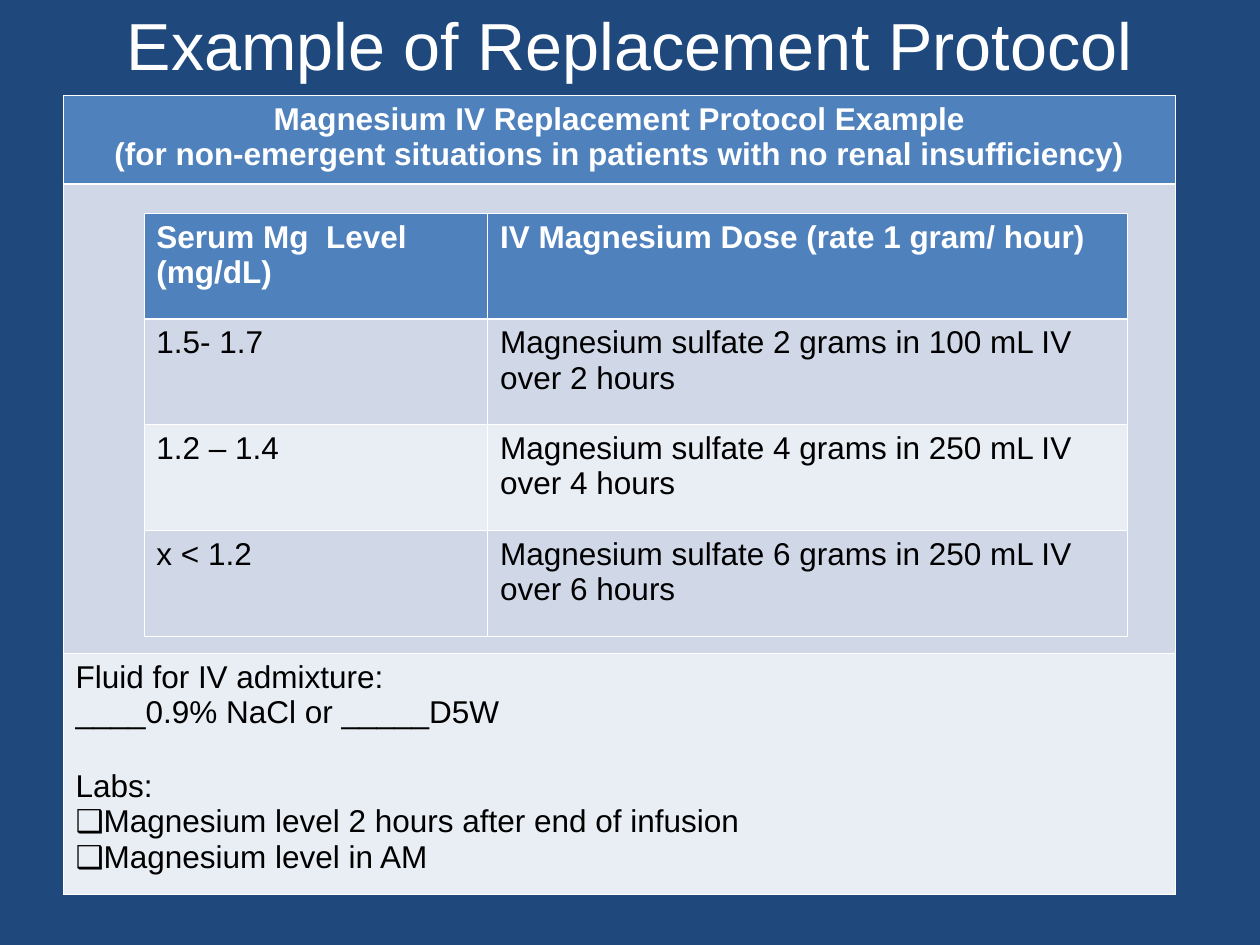
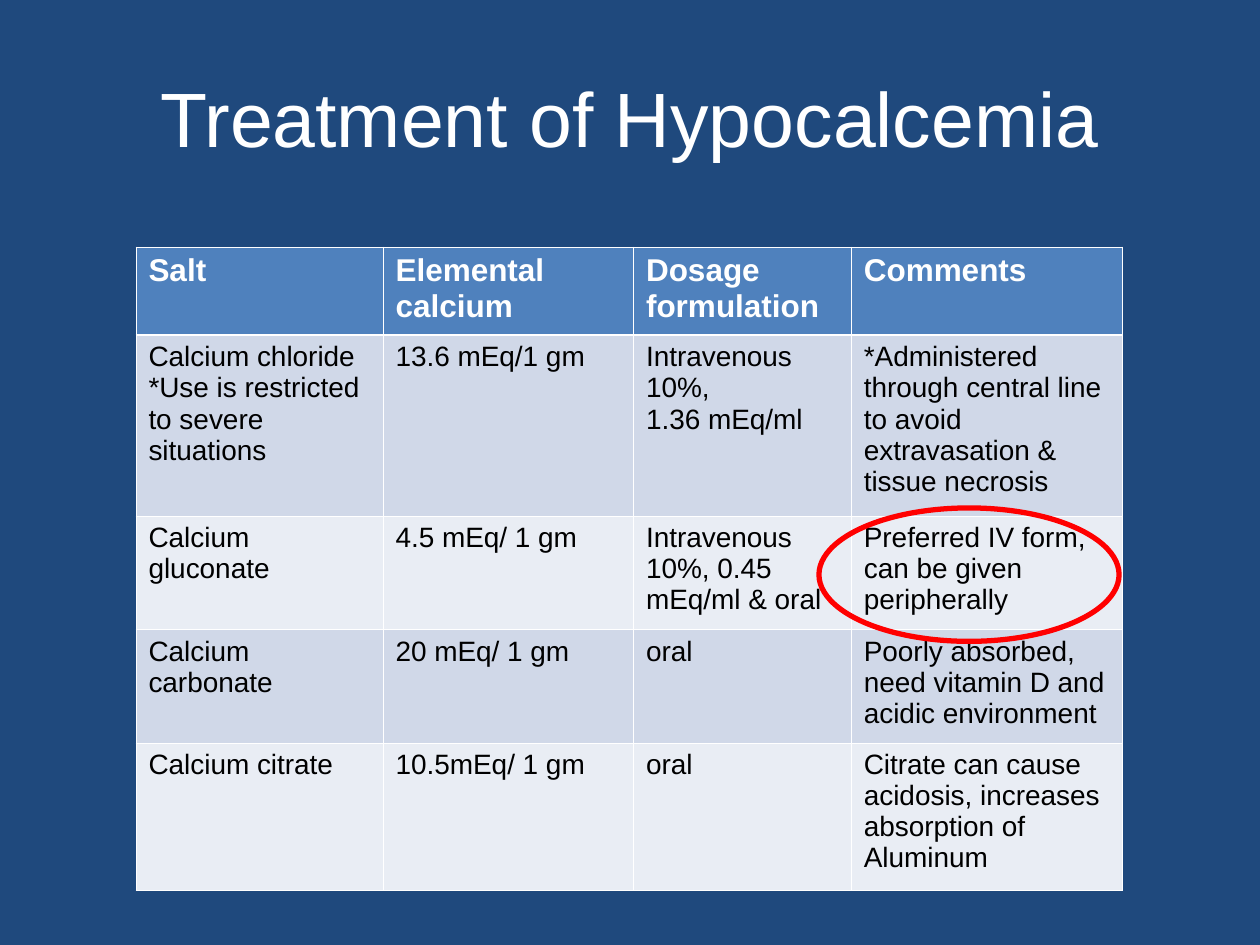
import pptx
import pptx.util
import pptx.dml.color
import pptx.enum.shapes
import pptx.enum.text
import pptx.oxml
import lxml.etree
import dataclasses

Cm, Pt = pptx.util.Cm, pptx.util.Pt
Color = pptx.dml.color.RGBColor.from_string
Align = pptx.enum.text.PP_ALIGN


@dataclasses.dataclass(frozen=True)
class Theme:
    font: str = "Arial"
    back: str = "1F497D"
    head: str = "4F81BD"
    bands: tuple = ("D0D8E8", "E9EDF4")
    light: str = "FFFFFF"
    dark: str = "000000"
    mark: str = "FF0000"
    text: int = 18
    small: int = 16
    thin: float = 0.45
    thick: float = 1.47


theme = Theme()


def say(frame, text, size=theme.text, color=theme.dark, bold=False,
        align=Align.LEFT, before=0, bullet=None):
    """Append each line of text to the frame as a paragraph."""
    for line in text.split("\n"):
        para = frame.add_paragraph() if frame.text else frame.paragraphs[0]
        para.alignment = align
        if before:
            para.space_before = Pt(before)
        if bullet:
            props = para._p.get_or_add_pPr()
            props.set("marL", "0")
            props.set("indent", "0")
            for tag, name, value in (("buFont", "typeface", theme.font),
                                     ("buChar", "char", bullet)):
                lxml.etree.SubElement(props, pptx.oxml.ns.qn(f"a:{tag}")).set(name, value)
        run = para.add_run()
        run.text = line
        run.font.name, run.font.size, run.font.bold = theme.font, Pt(size), bold
        run.font.color.rgb = Color(color)


def grid(slide, left, top, cols, rows, cells, size=theme.text, align=Align.LEFT):
    """Draw a table with a header row, banded body and white rules."""
    table = slide.shapes.add_table(len(rows), len(cols), Cm(left), Cm(top),
                                   Cm(sum(cols)), Cm(sum(rows))).table
    table.horz_banding = False
    for col, width in zip(table.columns, cols):
        col.width = Cm(width)
    for i, height in enumerate(rows):
        table.rows[i].height = Cm(height)
        for j, text in enumerate(cells[i]):
            cell = table.cell(i, j)
            # Rules, thicker between header and body
            heavy = {0: "B", 1: "T"}.get(i)
            for side in "LRTB":
                width = theme.thick if side == heavy else theme.thin
                cell._tc.get_or_add_tcPr().append(pptx.oxml.parse_xml(
                    f'<a:ln{side} {pptx.oxml.ns.nsdecls("a")} w="{Pt(width)}"><a:solidFill>'
                    f'<a:srgbClr val="{theme.light}"/></a:solidFill></a:ln{side}>'))
            cell.fill.solid()
            cell.fill.fore_color.rgb = Color(theme.bands[(i - 1) % 2] if i else theme.head)
            if text and i:
                say(cell.text_frame, text, size=size)
            elif text:
                say(cell.text_frame, text, color=theme.light, bold=True, align=align)
    return table


# Deck and shared background
deck = pptx.Presentation()
deck.slide_width, deck.slide_height = Cm(25.4), Cm(19.05)
fill = deck.slide_master.background.fill
fill.solid()
fill.fore_color.rgb = Color(theme.back)

# Slides with their titles
pages = []
for title, top, height, size in (("Example of Replacement Protocol", -0.43, 2.64, 38),
                                 ("Treatment of Hypocalcemia", 0.76, 3.18, 44)):
    page = deck.slides.add_slide(deck.slide_layouts[6])
    frame = page.shapes.add_textbox(Cm(1.27), Cm(top), Cm(22.86), Cm(height)).text_frame
    frame.word_wrap = True
    frame.vertical_anchor = pptx.enum.text.MSO_ANCHOR.MIDDLE
    say(frame, title, size=size, color=theme.light, align=Align.CENTER)
    pages.append(page)
dosing, salts = pages

# Protocol panel
panel = grid(dosing, 1.27, 1.93, [22.43], [1.78, 9.47, 4.83], [
    ["Magnesium IV Replacement Protocol Example\n"
     "(for non-emergent situations in patients with no renal insufficiency)"],
    [""],
    ["Fluid for IV admixture:\n____0.9% NaCl or _____D5W"],
], align=Align.CENTER)
orders = panel.cell(2, 0).text_frame
say(orders, "Labs:", before=22)
say(orders, "Magnesium level 2 hours after end of infusion\nMagnesium level in AM", bullet="❑")

# Dose table inside the panel
doses = [("1.5- 1.7", 2, 100), ("1.2 – 1.4", 4, 250), ("x < 1.2", 6, 250)]
grid(dosing, 2.9, 4.3, [6.93, 12.9], [2.13] * 4, [
    ["Serum Mg  Level (mg/dL)", "IV Magnesium Dose (rate 1 gram/ hour)"],
    *([level, f"Magnesium sulfate {dose} grams in {fluid} mL IV over {dose} hours"]
      for level, dose, fluid in doses),
])

# Calcium salts
grid(salts, 2.74, 4.98, [4.98, 5.05, 4.39, 5.46], [1.78, 3.63, 2.29, 2.29, 2.97], [
    ["Salt", "Elemental calcium", "Dosage formulation", "Comments"],
    ["Calcium chloride *Use is restricted to severe situations", "13.6 mEq/1 gm",
     "Intravenous\n10%,\n1.36 mEq/ml",
     "*Administered through central line to avoid extravasation & tissue necrosis"],
    ["Calcium gluconate", "4.5 mEq/ 1 gm", "Intravenous\n10%, 0.45 mEq/ml & oral",
     "Preferred IV form, can be given peripherally"],
    ["Calcium carbonate", "20 mEq/ 1 gm", "oral",
     "Poorly absorbed, need vitamin D and acidic environment"],
    ["Calcium citrate", "10.5mEq/ 1 gm", "oral",
     "Citrate can cause acidosis, increases absorption of Aluminum"],
], size=theme.small)

# Ring around the preferred form
ring = salts.shapes.add_shape(pptx.enum.shapes.MSO_SHAPE.OVAL,
                              Cm(16.51), Cm(10.24), Cm(6.05), Cm(2.69))
ring.shadow.inherit = False
ring.fill.background()
ring.line.color.rgb = Color(theme.mark)
ring.line.width = Pt(3)

deck.save("out.pptx")
